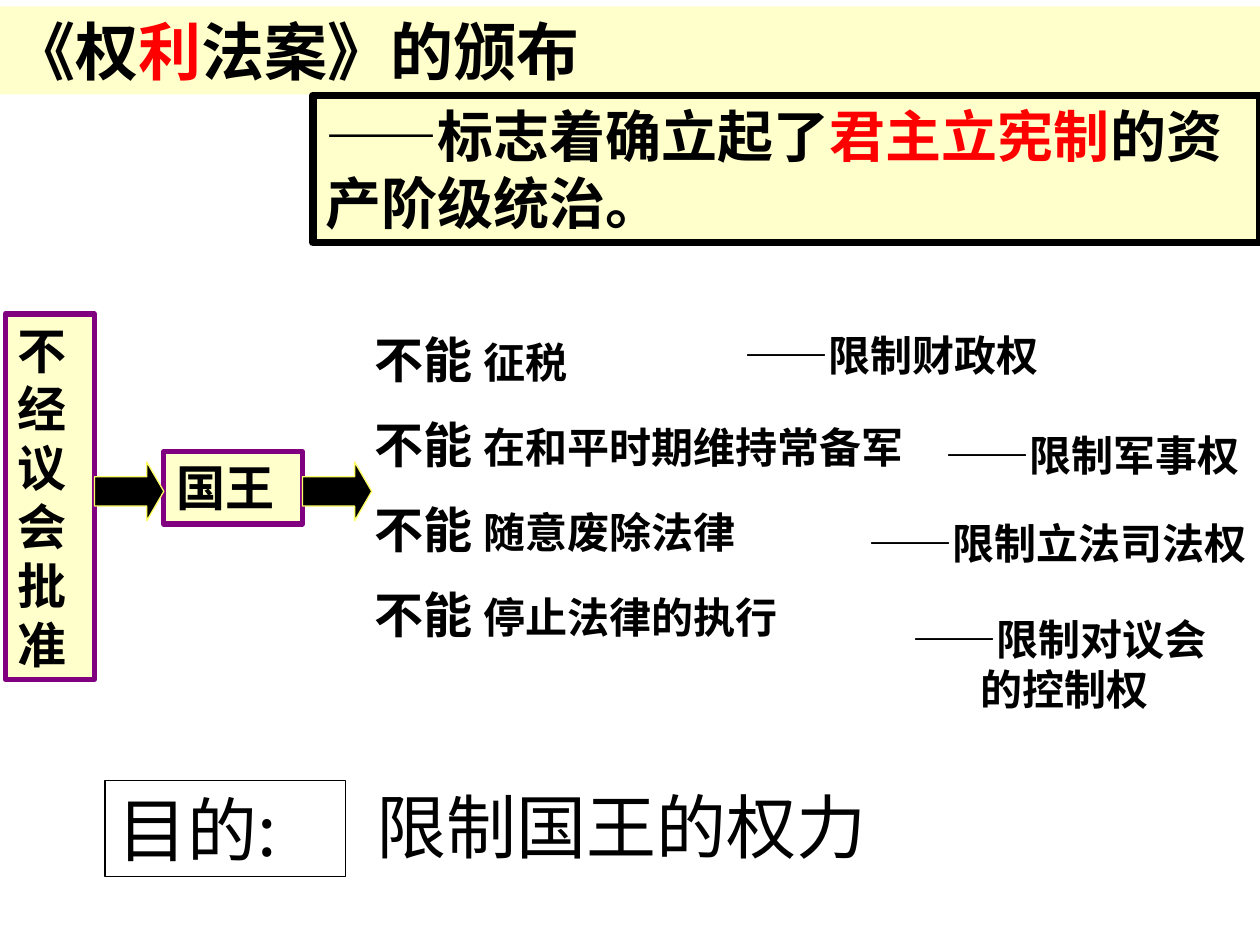
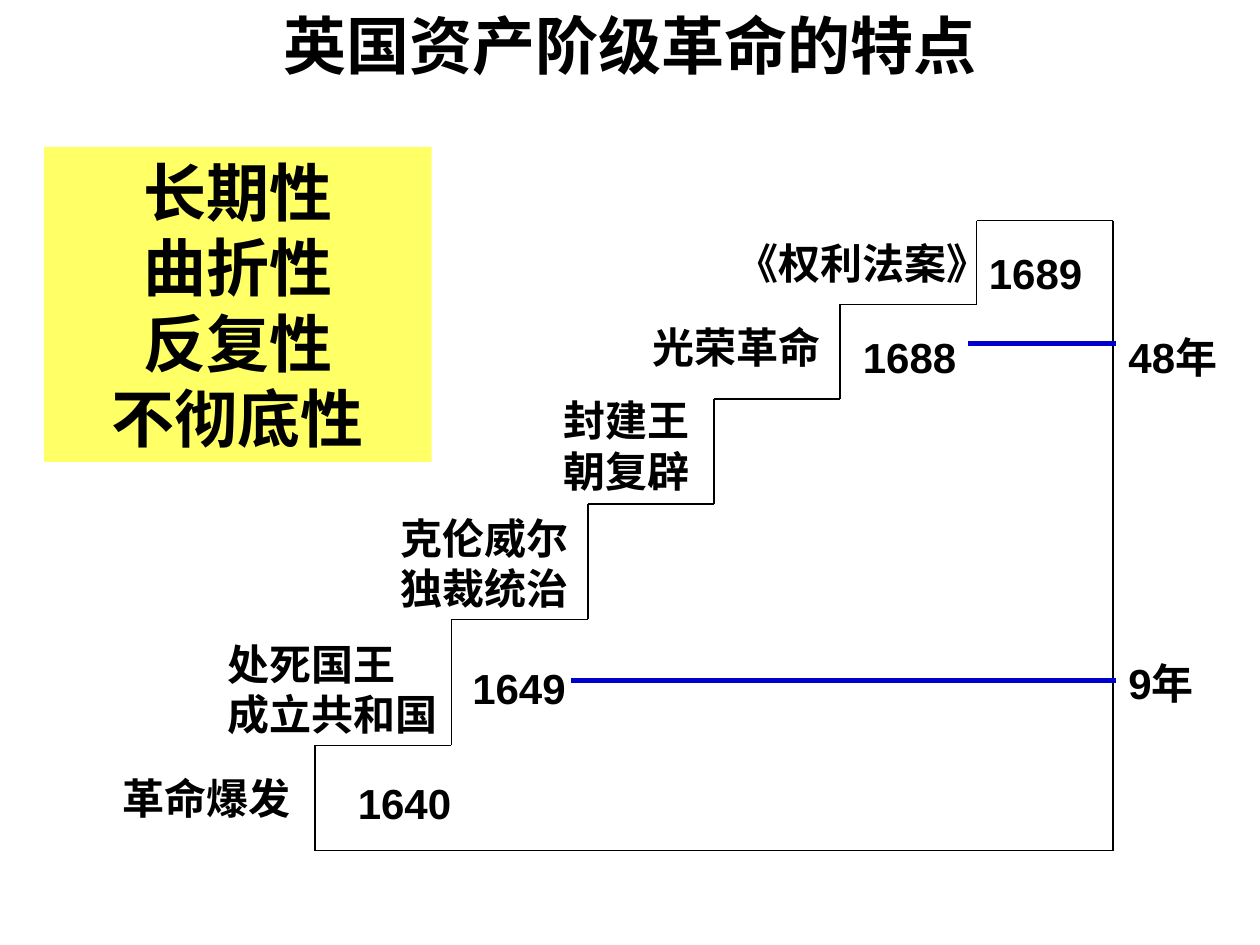
from itertools import pairwise
from lxml.etree import SubElement
from pptx import Presentation
from pptx.dml.color import RGBColor
from pptx.enum.shapes import MSO_CONNECTOR, MSO_SHAPE
from pptx.enum.text import PP_ALIGN
from pptx.oxml.ns import qn
from pptx.util import Inches, Pt

BLACK, RED, BLUE, PURPLE = "000000", "FF0000", "0000CC", "800080"
CREAM, YELLOW = "FFFFCC", "FFFF66"
LATIN, CJK = "Arial", "Noto Sans CJK SC"

prs = Presentation()
prs.slide_width, prs.slide_height = Inches(10), Inches(7.5)
UNIT = prs.slide_width / 120  # square grid: 120 columns, 90 rows


def paint(fmt, color, weight=None):
    """Give a fill, or a line of the given weight, a solid colour."""
    if weight:
        fmt.width = Pt(weight)
        fmt = fmt.fill
    fmt.solid()
    fmt.fore_color.rgb = RGBColor.from_string(color)


def box(s, at, paragraphs, size=24, font=LATIN, bold=True, fill=None,
        line=None, align=PP_ALIGN.LEFT, wrap=True):
    """Add a text box placed in grid units; each paragraph is a tuple of runs."""
    sp = s.shapes.add_textbox(*[round(v * UNIT) for v in at])
    if fill:
        paint(sp.fill, fill)
    if line:
        paint(sp.line, *line)
    tf = sp.text_frame
    tf.word_wrap = wrap
    for i, runs in enumerate(paragraphs):
        p = tf.paragraphs[0] if i == 0 else tf.add_paragraph()
        for text in runs:
            p.add_run().text = text
        p.alignment = align
        p.font.size, p.font.bold, p.font.name = Pt(size), bold, font
        paint(p.font.fill, BLACK)
        SubElement(p.font._element, qn("a:ea"), typeface=CJK)
    return tf


# Slide 1: the Bill of Rights
blank = prs.slide_layouts[6]
s = prs.slides.add_slide(blank)
title = box(s, (0, 0.6, 120, 8.4), [("《权", "利", "法案》的颁布")], 36, fill=CREAM)
box(s, (0.5, 29.9, 8.5, 34.8), [("不经议会批准",)], 28, CJK,
    fill=CREAM, line=(PURPLE, 3))
box(s, (15.6, 43, 13.2, 6.9), [("国王",)], 28, CJK, fill=CREAM, line=(PURPLE, 3))

for x in (9, 28.8):
    arrow = s.shapes.add_shape(MSO_SHAPE.RIGHT_ARROW,
                               *[round(v * UNIT) for v in (x, 44, 6.6, 5.6)])
    arrow.adjustments[1] = 0.29
    arrow.shadow.inherit = False
    paint(arrow.fill, BLACK)
    paint(arrow.line, YELLOW, 0.75)

bans = ["征税", "在和平时期维持常备军", "随意废除法律", "停止法律的执行"]
tf = box(s, (34.5, 30.8, 59, 31.2), [("不能 ", ban) for ban in bans], 28, CJK)
for i, p in enumerate(tf.paragraphs):
    p.runs[1].font.size = Pt(24)
    if i:
        p.space_before = Pt(15)

box(s, (10, 74.3, 22.9, 9.2), [("目的:",)], 40, CJK, False, line=(BLACK, 0.75))
box(s, (34.7, 74, 52, 9.2), [("限制国王的权力",)], 40, CJK, False, wrap=False)
statement = box(s, (29.8, 9.1, 90.2, 14),
                [("——标志着确立起了", "君主立宪制", "的资产阶级统治。")],
                32, fill=CREAM, line=(BLACK, 4.5))
for tf in (title, statement):
    paint(tf.paragraphs[0].runs[1].font.fill, RED)

limits = [
    (69.7, 30.8, 30.4, ["——限制财政权"]),
    (88.9, 40.3, 30.4, ["——限制军事权"]),
    (81.5, 48.7, 38.4, ["——限制立法司法权"]),
    (85.7, 57.8, 30.4, ["——限制对议会", "的控制权"]),
]
for x, y, w, lines in limits:
    tf = box(s, (x, y, w, 1.2 + 4.8 * len(lines)), [(t,) for t in lines], wrap=False)
    for p in tf.paragraphs[1:]:
        p._p.get_or_add_pPr().set("marL", str(Inches(0.54)))

# Slide 2: the staircase of the revolution
s = prs.slides.add_slide(blank)
step_x = [30, 43, 56, 68, 80, 93, 106]
step_y = [81, 71, 59, 48, 38, 29, 21]
corners = [(step_x[0], step_y[0])]
for i in range(1, len(step_x)):
    corners += [(step_x[i - 1], step_y[i]), (step_x[i], step_y[i])]
corners += [(step_x[-1], step_y[0]), corners[0]]

strokes = [(a, b, BLACK, 0.75) for a, b in pairwise(corners)]
strokes += [((x, y), (106.3, y), BLUE, 3) for x, y in ((92.2, 32.7), (54.4, 64.8))]
for start, end, color, weight in strokes:
    c = s.shapes.add_connector(MSO_CONNECTOR.STRAIGHT,
                               *[round(v * UNIT) for v in start + end])
    paint(c.line, color, weight)
    SubElement(c._element.spPr, qn("a:effectLst"))

events = [
    (10.5, 73, 21.5, ["革命爆发"]),
    (20.5, 60.2, 25.5, ["处死国王", "成立共和国"]),
    (37, 48.2, 22.2, ["克伦威尔独裁统治"]),
    (52.5, 37, 17.5, ["封建王", "朝复辟"]),
    (61, 30, 23, ["光荣革命"]),
    (69, 22, 32, ["《权利法案》"]),
]
for x, y, w, lines in events:
    box(s, (x, y, w, 1.2 + 4.8 * len(lines)), [(t,) for t in lines])

dates = [
    (32.9, 73.5, 11.3, "1640"), (43.8, 62.5, 11.3, "1649"),
    (81, 31, 11.3, "1688"), (93, 23, 11.3, "1689"),
    (106.3, 62, 9.6, "9年"), (106.3, 31, 11.8, "48年"),
]
for x, y, w, text in dates:
    box(s, (x, y, w, 6), [(text,)], wrap=False)

traits = ["长期性", "曲折性", "反复性", "不彻底性"]
box(s, (4.2, 14, 36.9, 30), [(t,) for t in traits], 36, CJK,
    fill=YELLOW, align=PP_ALIGN.CENTER)
box(s, (0, 0, 120, 8.4), [("英国资产阶级革命的特点",)], 36, CJK, align=PP_ALIGN.CENTER)

prs.save("out.pptx")
